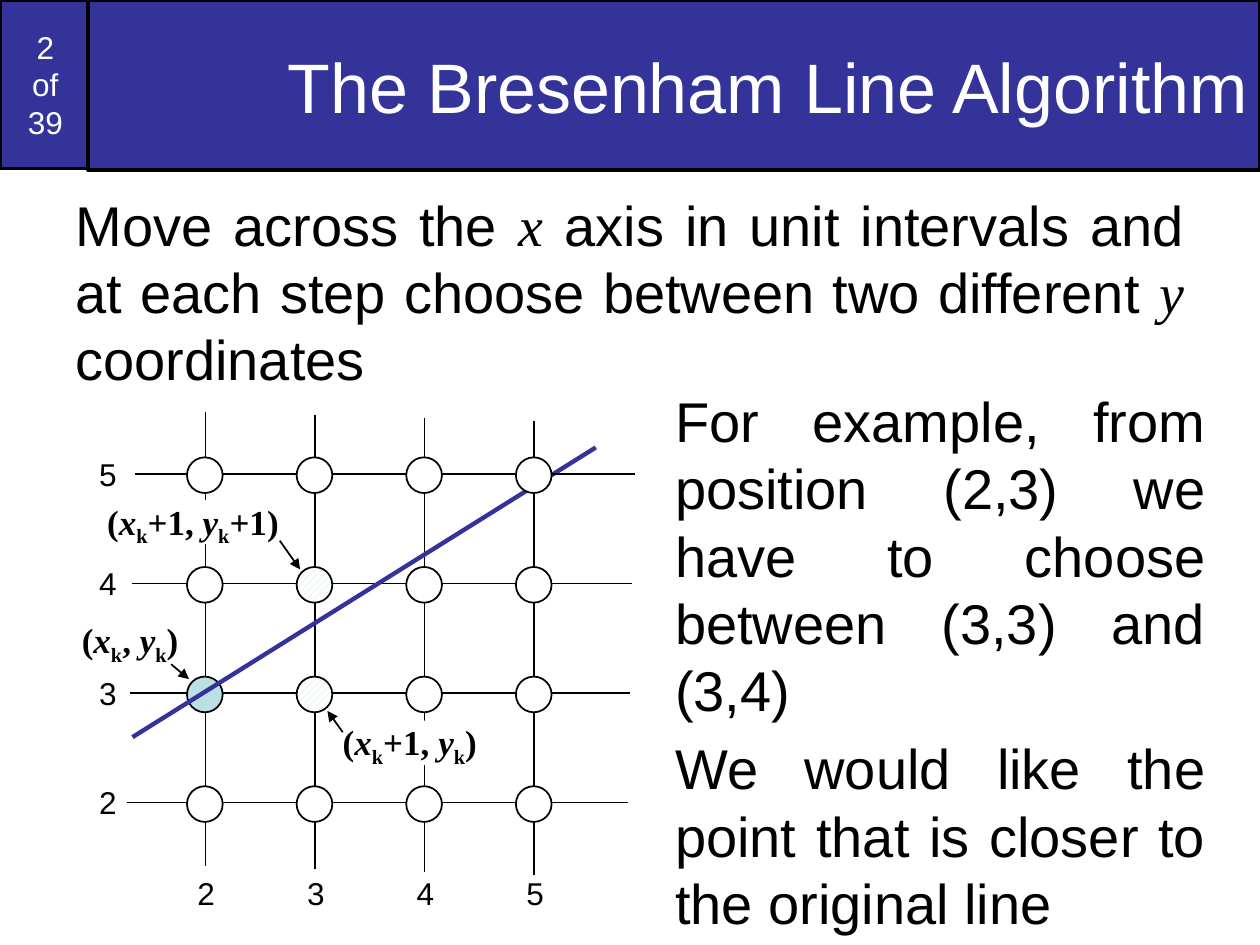
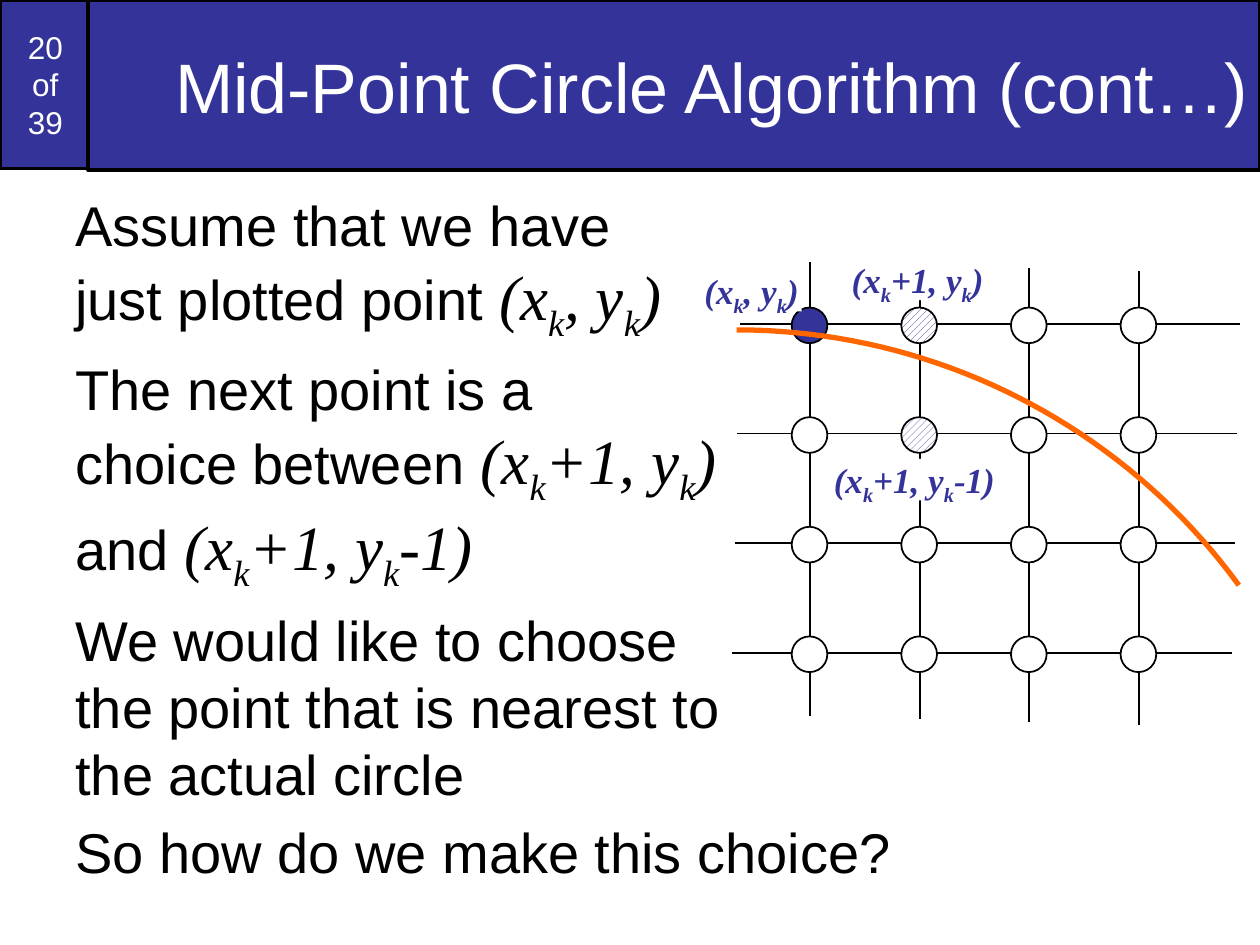
from math import cos, radians, sin

from lxml.etree import SubElement as SubEl
from pptx import Presentation
from pptx.dml.color import RGBColor as Rgb
from pptx.enum.dml import MSO_PATTERN as Hatch
from pptx.enum.shapes import MSO_CONNECTOR as Link, MSO_SHAPE as Kind
from pptx.enum.text import MSO_ANCHOR as Anchor, PP_ALIGN as Align
from pptx.oxml.ns import qn
from pptx.util import Cm, Pt

COLORS = {"band": "333399", "ink": "000000", "paper": "FFFFFF",
          "pale": "BBE0E3", "curve": "FF6600"}

# Text formats
SANS = {"name": "Arial", "size": Pt(32)}
SMALL = {**SANS, "size": Pt(18)}
HEAD = {**SANS, "size": Pt(40)}
SERIF = {"name": "Times New Roman", "size": Pt(32), "italic": True}
MATH = {**SERIF, "size": Pt(36)}
BOLD = {**SERIF, "size": Pt(20), "bold": True}
PLAIN = {**BOLD, "italic": False}

# Grid measures in cm
COUNT, STEP, DOT = 4, 2.21, 0.72


def color(key):
    return Rgb.from_string(COLORS[key])


def pair(dx, dy, base, var=None):
    """Runs for a point such as (xk+1, yk)."""
    var = var or base
    sub = {**base, "sub": True}
    return [("(", base), ("x", var), ("k", sub), (dx + ", ", base),
            ("y", var), ("k", sub), (dy + ")", base)]


def write(shape, paras, ink="ink", align=Align.LEFT, wrap=True,
          anchor=Anchor.TOP, inset=None, gap=0):
    """Fill a shape with paragraphs, each a list of (text, format) runs."""
    frame = shape.text_frame
    props = {"word_wrap": wrap, "vertical_anchor": anchor}
    if inset is not None:
        for side in ("left", "right", "top", "bottom"):
            props["margin_" + side] = Cm(inset)
    for key, val in props.items():
        setattr(frame, key, val)
    for num, runs in enumerate(paras):
        para = frame.add_paragraph() if num else frame.paragraphs[0]
        para.alignment = align
        para.space_before = Pt(gap)
        for text, form in runs:
            for row, part in enumerate(text.split("\n")):
                if row:
                    para.add_line_break()
                if part:
                    add_run(para, part, form, ink)


def add_run(para, text, form, ink):
    run = para.add_run()
    run.text = text
    for key, val in form.items():
        if key != "sub":
            setattr(run.font, key, val)
    run.font.color.rgb = color(ink)
    if form.get("sub"):
        run._r.get_or_add_rPr().set("baseline", "-25000")


def add_box(slide, kind, area, fill, width=None):
    shape = slide.shapes.add_shape(kind, *map(Cm, area))
    shape.shadow.inherit = False
    shape.fill.solid()
    shape.fill.fore_color.rgb = color(fill)
    if width:
        shape.line.color.rgb = color("ink")
        shape.line.width = Pt(width)
    else:
        shape.line.fill.background()
    return shape


def add_text(slide, area, paras, **opts):
    write(slide.shapes.add_textbox(*map(Cm, area)), paras, **opts)


def add_line(slide, start, end, ink="ink", width=1, arrow=False):
    line = slide.shapes.add_connector(Link.STRAIGHT, *map(Cm, start + end))
    line.line.color.rgb = color(ink)
    line.line.width = Pt(width)
    if arrow:
        SubEl(line.line._get_or_add_ln(), qn("a:tailEnd"), type="triangle")
    SubEl(line._element.spPr, qn("a:effectLst"))


def add_band(slide, num, title):
    """Page badge and title bar."""
    badge = add_box(slide, Kind.RECTANGLE, (0, 0, 1.83, 3.4), "band", 2)
    write(badge, [[(f"{num}\nof\n39", SMALL)]], "paper", Align.CENTER,
          anchor=Anchor.MIDDLE)
    bar = add_box(slide, Kind.RECTANGLE, (1.78, 0, 23.62, 3.43), "band", 2)
    write(bar, [[(title, HEAD)]], "paper", Align.RIGHT, anchor=Anchor.MIDDLE)


def add_cols(slide, left, top):
    for col in range(COUNT):
        x, y = left + col * STEP, top - 1.25 + col * 0.06
        add_line(slide, (x, y), (x, y + 9.16))


def add_row(slide, left, top, row, marks):
    """One grid line with its dots; marks maps (col, row) to a fill."""
    x, y = left - 1.42 - row * 0.05, top + row * STEP
    add_line(slide, (x + 10.08, y), (x, y))
    for col in range(COUNT):
        tone, hatch = marks.get((col, row), ("paper", False))
        area = (left - 0.37 + col * STEP, y - 0.33, DOT, DOT)
        dot = add_box(slide, Kind.OVAL, area, tone, 1)
        if hatch:
            dot.fill.patterned()
            dot.fill.pattern = Hatch.WIDE_UPWARD_DIAGONAL
            dot.fill.fore_color.rgb = color(tone)
            dot.fill.back_color.rgb = color("paper")


def add_label(slide, area, runs, ink="ink"):
    write(add_box(slide, Kind.RECTANGLE, area, "paper"), [runs], ink,
          wrap=False, inset=0)


def add_arc(slide, mid, radius, first, last):
    """Open circular arc between two angles in degrees."""
    turns = [radians(first + (last - first) * n / 40) for n in range(41)]
    dots = [(Cm(mid[0] + radius * cos(t)), Cm(mid[1] + radius * sin(t)))
            for t in turns]
    pen = slide.shapes.build_freeform(*dots[0])
    pen.add_line_segments(dots[1:], close=False)
    arc = pen.convert_to_shape()
    arc.shadow.inherit = False
    arc.fill.background()
    arc.line.color.rgb = color("curve")
    arc.line.width = Pt(3)


def make_line(slide):
    add_band(slide, 2, "The Bresenham Line Algorithm")
    add_text(slide, (1.27, 3.71, 22.86, 4.47), [[
        ("Move across the ", SANS), ("x", SERIF),
        (" axis in unit intervals and at each step choose between two "
         "different ", SANS), ("y", SERIF), (" coordinates", SANS)]],
        align=Align.JUSTIFY, gap=6.4)

    # Grid, with the top row above the sloping line
    left, top = 4.14, 9.55
    marks = {(1, 1): ("pale", True), (0, 2): ("pale", False),
             (1, 2): ("pale", True)}
    add_cols(slide, left, top)
    for row in range(1, COUNT):
        add_row(slide, left, top, row, marks)
    add_line(slide, (2.67, 14.86), (12.01, 9.02), "band", 2.5)
    add_row(slide, left, top, 0, marks)

    # Axis numbers
    for num in range(COUNT):
        spots = ((left - 0.41 + num * STEP, 17.5, num + 2),
                 (1.75, top - 0.51 + num * STEP, 5 - num))
        for x, y, val in spots:
            add_text(slide, (x, y, 0.86, 1.02), [[(str(val), SMALL)]],
                     wrap=False)

    add_text(slide, (13.36, 7.67, 11.2, 11.38), [
        [("For example, from position (2,3) we have to choose between "
          "(3,3) and (3,4)", SANS)],
        [("We would like the point that is closer to the original line",
          SANS)]], align=Align.JUSTIFY, gap=6.4)

    # Point labels and their arrows
    notes = [
        ((1.65, 12.47, 2.01, 0.89), "", "", (3.45, 13.39), (3.81, 13.69)),
        ((6.91, 14.53, 2.74, 0.89), "+1", "", (6.91, 14.76), (6.6, 14.33)),
        ((2.16, 10.08, 3.51, 0.89), "+1", "+1", (5.64, 10.9), (6.05, 11.48)),
    ]
    for area, dx, dy, start, end in notes:
        add_label(slide, area, pair(dx, dy, PLAIN, BOLD))
        add_line(slide, start, end, arrow=True)


def make_circle(slide):
    add_band(slide, 20, "Mid-Point Circle Algorithm (cont…)")

    # Grid under the circle's arc
    left, top = 16.33, 6.53
    marks = {(0, 0): ("band", False), (1, 0): ("band", True),
             (1, 1): ("band", True)}
    add_cols(slide, left, top)
    for row in range(COUNT):
        add_row(slide, left, top, row, marks)
    add_arc(slide, (14.85, 19.18), 12.53, -90, -36.1)

    # Point labels
    for area, dx, dy in (((17.17, 5.21, 2.69, 0.84), "+1", ""),
                         ((16.81, 9.25, 3.28, 0.84), "+1", "-1"),
                         ((14.2, 5.44, 1.96, 0.84), "", "")):
        add_label(slide, area, pair(dx, dy, BOLD), "band")

    add_text(slide, (1.27, 3.71, 22.91, 15.34), [
        [("Assume that we have\njust plotted point ", SANS),
         *pair("", "", MATH)],
        [("The next point is a\nchoice between ", SANS),
         *pair("+1", "", MATH), ("\nand ", SANS), *pair("+1", "-1", MATH)],
        [("We would like to choose\nthe point that is nearest to\n"
          "the actual circle", SANS)],
        [("So how do we make this choice?", SANS)]], gap=6.4)


def main():
    deck = Presentation()
    deck.slide_width, deck.slide_height = Cm(25.4), Cm(19.05)
    for make in (make_line, make_circle):
        make(deck.slides.add_slide(deck.slide_layouts[6]))
    deck.save("out.pptx")


if __name__ == "__main__":
    main()
